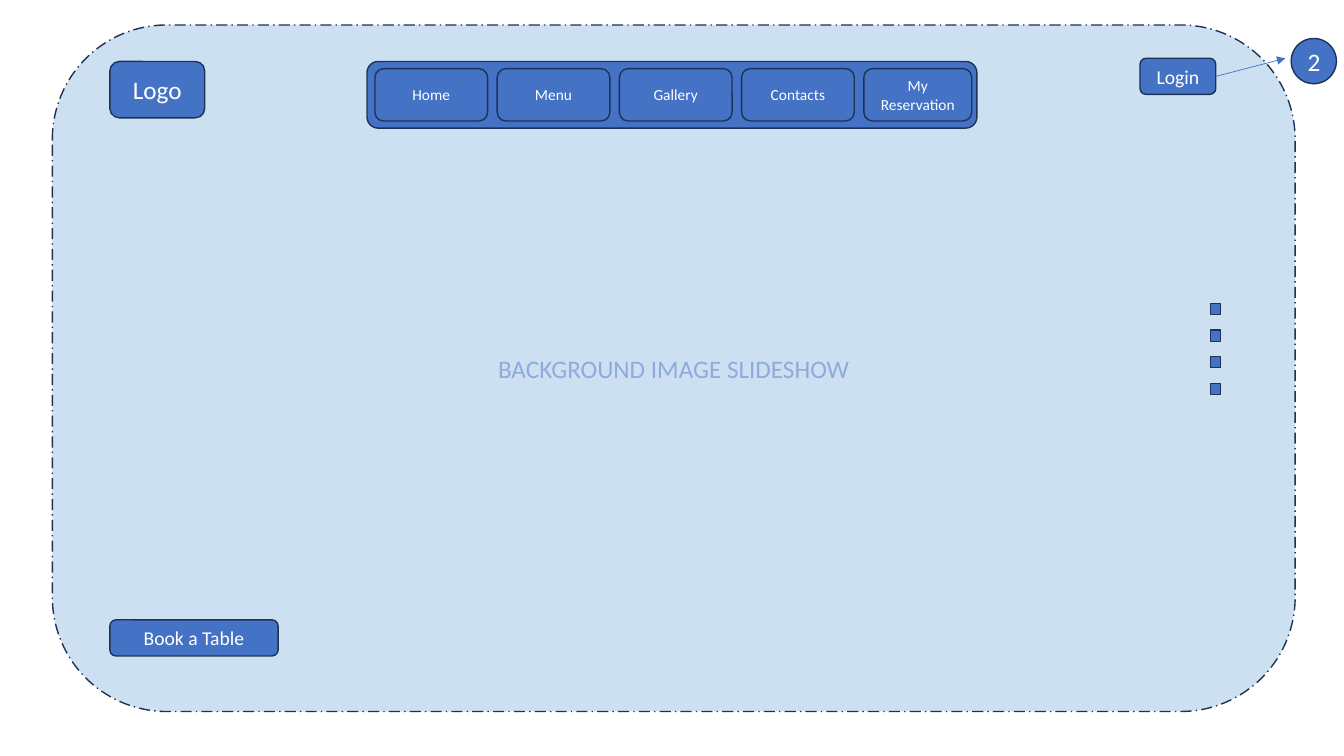
"""Build the home page wireframe slide of a restaurant booking site."""
from dataclasses import dataclass

from lxml.etree import SubElement
from pptx import Presentation
from pptx.dml.color import RGBColor as Rgb
from pptx.enum.dml import MSO_LINE as Dash
from pptx.enum.shapes import MSO_CONNECTOR as Connector, MSO_SHAPE as Preset
from pptx.enum.text import MSO_ANCHOR as Anchor, PP_ALIGN as Align
from pptx.oxml.ns import qn
from pptx.util import Cm, Pt


@dataclass(frozen=True)
class Theme:
    font: str = "Calibri"
    block: Rgb = Rgb(0x44, 0x72, 0xC4)
    outline: Rgb = Rgb(0x1E, 0x32, 0x56)
    backdrop: Rgb = Rgb(0x5B, 0x9B, 0xD5)
    caption: Rgb = Rgb(0x8F, 0xAA, 0xDC)
    white: Rgb = Rgb(0xFF, 0xFF, 0xFF)
    large: Pt = Pt(18)
    medium: Pt = Pt(14)
    small: Pt = Pt(11)


theme = Theme()


def add_block(shapes, preset, box, text="", size=theme.large, color=theme.white, fill=theme.block):
    block = shapes.add_shape(preset, *map(Cm, box))
    block.shadow.inherit = False
    block.fill.solid()
    block.fill.fore_color.rgb = fill
    block.line.color.rgb = theme.outline
    block.line.width = Pt(1)
    if text:
        frame = block.text_frame
        frame.word_wrap = True
        frame.vertical_anchor = Anchor.MIDDLE
        frame.text = text
        label = frame.paragraphs[0]
        label.alignment = Align.CENTER
        font = label.runs[0].font
        font.name, font.size, font.color.rgb = theme.font, size, color
    return block


deck = Presentation()
deck.slide_width, deck.slide_height = Cm(33.87), Cm(19.05)
slide = deck.slides.add_slide(deck.slide_layouts[6])
page = slide.shapes

backdrop = add_block(page, Preset.ROUNDED_RECTANGLE, (1.32, 0.63, 31.32, 17.3),
                     "BACKGROUND IMAGE SLIDESHOW", color=theme.caption, fill=theme.backdrop)
backdrop.line.dash_style = Dash.LONG_DASH_DOT
backdrop_color = backdrop.fill._xPr.find(qn("a:solidFill"))[0]
SubElement(backdrop_color, qn("a:alpha"), val="30000")

add_block(page, Preset.ROUNDED_RECTANGLE, (2.77, 1.55, 2.39, 1.42), "Logo")
login = add_block(page, Preset.ROUNDED_RECTANGLE, (28.73, 1.47, 1.91, 0.91), "Login", theme.medium)

login_arrow = page.add_connector(Connector.STRAIGHT, Cm(30.64), Cm(1.93), Cm(32.39), Cm(1.47))
login_arrow.begin_connect(login, 3)
login_arrow.line.color.rgb = theme.block
login_arrow.line.width = Pt(0.5)
SubElement(login_arrow.line._get_or_add_ln(), qn("a:tailEnd"), type="triangle")
SubElement(login_arrow._element.spPr, qn("a:effectLst"))

add_block(page, Preset.FLOWCHART_CONNECTOR, (32.54, 0.97, 1.14, 1.14), "2")
add_block(page, Preset.ROUNDED_RECTANGLE, (2.77, 15.62, 4.24, 0.91), "Book a Table", theme.medium)

slide_markers = page.add_group_shape().shapes
for row in range(4):
    add_block(slide_markers, Preset.RECTANGLE, (30.51, 7.65 + 0.67 * row, 0.25, 0.28))

navigation = page.add_group_shape().shapes
add_block(navigation, Preset.ROUNDED_RECTANGLE, (9.25, 1.55, 15.37, 1.68))
menu_widths = {"Home": 2.84, "Menu": 2.84, "Gallery": 2.84, "Contacts": 2.84, "My Reservation": 2.72}
for column, (entry, width) in enumerate(menu_widths.items()):
    add_block(navigation, Preset.ROUNDED_RECTANGLE, (9.45 + 3.08 * column, 1.73, width, 1.32),
              entry, theme.small)

deck.save("out.pptx")
